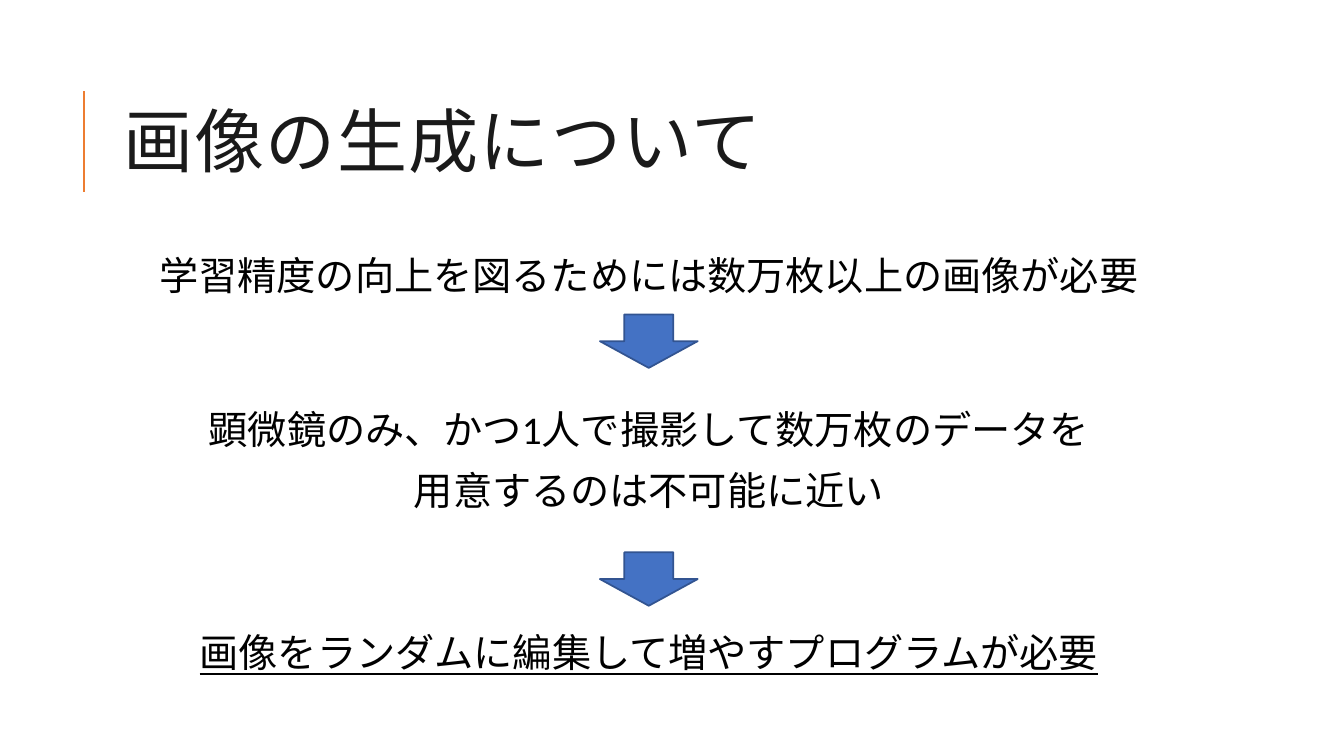
from lxml import etree
from pptx import Presentation
from pptx.dml.color import RGBColor
from pptx.enum.shapes import MSO_CONNECTOR, MSO_SHAPE
from pptx.enum.text import MSO_ANCHOR, MSO_AUTO_SIZE, PP_ALIGN
from pptx.oxml.ns import qn
from pptx.util import Inches, Pt

LEFT, CENTER = PP_ALIGN.LEFT, PP_ALIGN.CENTER
TOP, MIDDLE = MSO_ANCHOR.TOP, MSO_ANCHOR.MIDDLE
NO_FIT = MSO_AUTO_SIZE.NONE
STRAIGHT = MSO_CONNECTOR.STRAIGHT
DOWN = MSO_SHAPE.DOWN_ARROW

FONT = "Calibri"
BLACK = RGBColor(0x00, 0x00, 0x00)
DARK = RGBColor(0x1A, 0x1A, 0x1A)
BLUE = RGBColor(0x44, 0x72, 0xC4)
NAVY = RGBColor(0x32, 0x54, 0x91)
ORANGE = RGBColor(0xED, 0x7D, 0x31)

SIDE, WIDTH = 1.12, 10.63  # shared column of all text


def place(shape, top, height):
    shape.left, shape.top = Inches(SIDE), Inches(top)
    shape.width, shape.height = Inches(WIDTH), Inches(height)


def add_run(para, text, size, color):
    run = para.add_run()
    run.text = text
    font = run.font
    font.name, font.size = FONT, Pt(size)
    font.color.rgb = color
    return run


def set_title(shape, text):
    place(shape, 0.64, 1.64)
    frame = shape.text_frame
    frame.auto_size = NO_FIT
    frame.vertical_anchor = MIDDLE
    para = frame.paragraphs[0]
    para.alignment = LEFT
    para.line_spacing = 0.8
    run = add_run(para, text, 50, DARK)
    run.font._element.set("spc", "100")


def set_lines(shape, lines, underline=None):
    frame = shape.text_frame
    frame.word_wrap = True
    frame.auto_size = NO_FIT
    frame.vertical_anchor = TOP
    frame.margin_left = frame.margin_right = Inches(0.05)
    frame.margin_top = frame.margin_bottom = Inches(0.05)
    for i, text in enumerate(lines):
        para = frame.add_paragraph() if i else frame.paragraphs[0]
        props = para._p.get_or_add_pPr()
        props.set("marL", "0")
        props.set("indent", "0")
        etree.SubElement(props, qn("a:buNone"))
        para.alignment = CENTER
        para.line_spacing = 0.9
        para.space_before = Pt(12 if i else 0)
        para.space_after = Pt(2)
        run = add_run(para, text, 28, BLACK)
        run.font.underline = underline


def add_lines(slide, top, height, lines, underline=None):
    box = slide.shapes.add_textbox(
        Inches(SIDE), Inches(top), Inches(WIDTH), Inches(height))
    set_lines(box, lines, underline)


def add_arrow(slide, top):
    arrow = slide.shapes.add_shape(
        DOWN, Inches(5.95), Inches(top), Inches(0.97), Inches(0.53))
    arrow.shadow.inherit = False
    arrow.fill.solid()
    arrow.fill.fore_color.rgb = BLUE
    arrow.line.color.rgb = NAVY
    arrow.line.width = Pt(1.25)


def add_rule(slide):
    rule = slide.shapes.add_connector(
        STRAIGHT, Inches(0.83), Inches(1.9), Inches(0.83), Inches(0.9))
    rule.line.color.rgb = ORANGE
    rule.line.width = Pt(1.5)
    etree.SubElement(rule._element.spPr, qn("a:effectLst"))


def main():
    deck = Presentation()
    deck.slide_width, deck.slide_height = Inches(13.33), Inches(7.5)
    slide = deck.slides.add_slide(deck.slide_layouts[1])

    # Title with its accent rule
    add_rule(slide)
    set_title(slide.shapes.title, "画像の生成について")

    # Need, obstacle and answer
    body = slide.placeholders[1]
    place(body, 2.5, 0.53)
    set_lines(body, ["学習精度の向上を図るためには数万枚以上の画像が必要"])
    add_lines(slide, 4.02, 1.23, [
        "顕微鏡のみ、かつ1人で撮影して数万枚のデータを",
        "用意するのは不可能に近い"])
    add_lines(slide, 6.24, 0.62,
              ["画像をランダムに編集して増やすプログラムが必要"], True)

    # Arrows between the steps
    for top in (3.12, 5.48):
        add_arrow(slide, top)

    deck.save("out.pptx")


if __name__ == "__main__":
    main()
